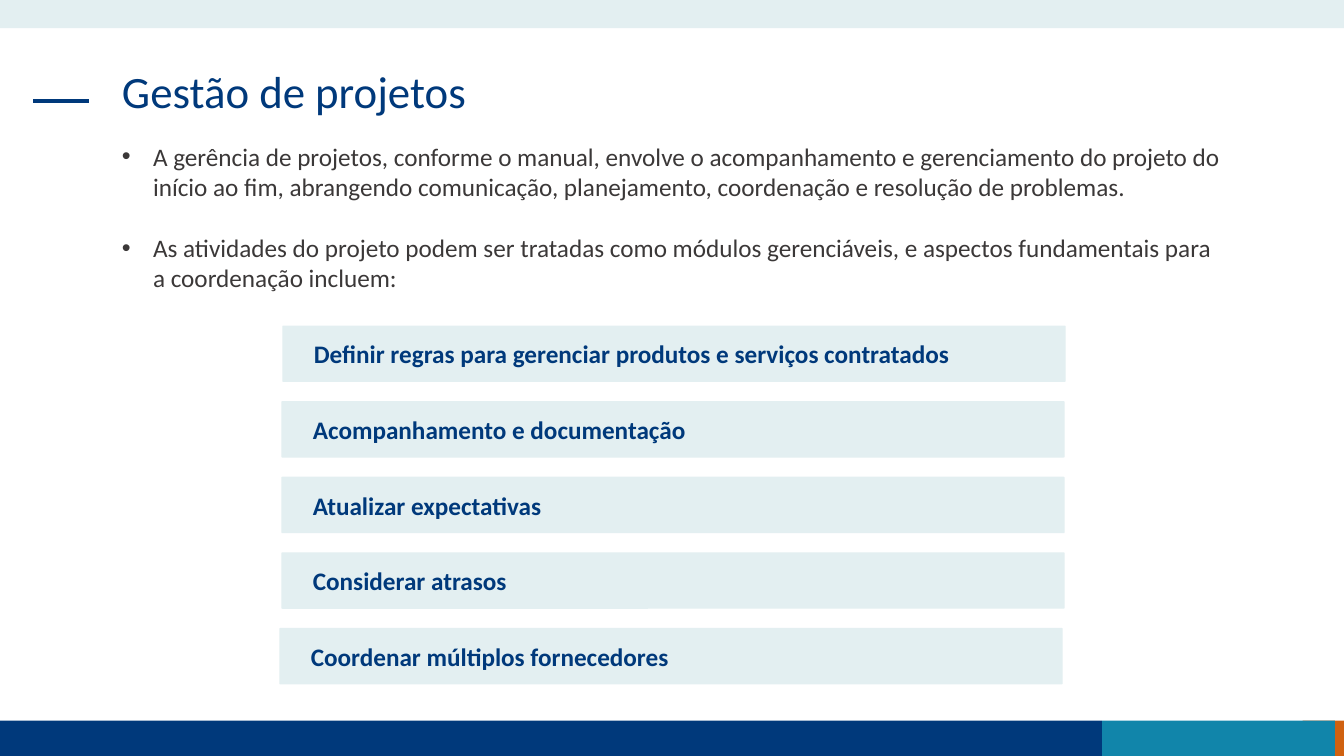
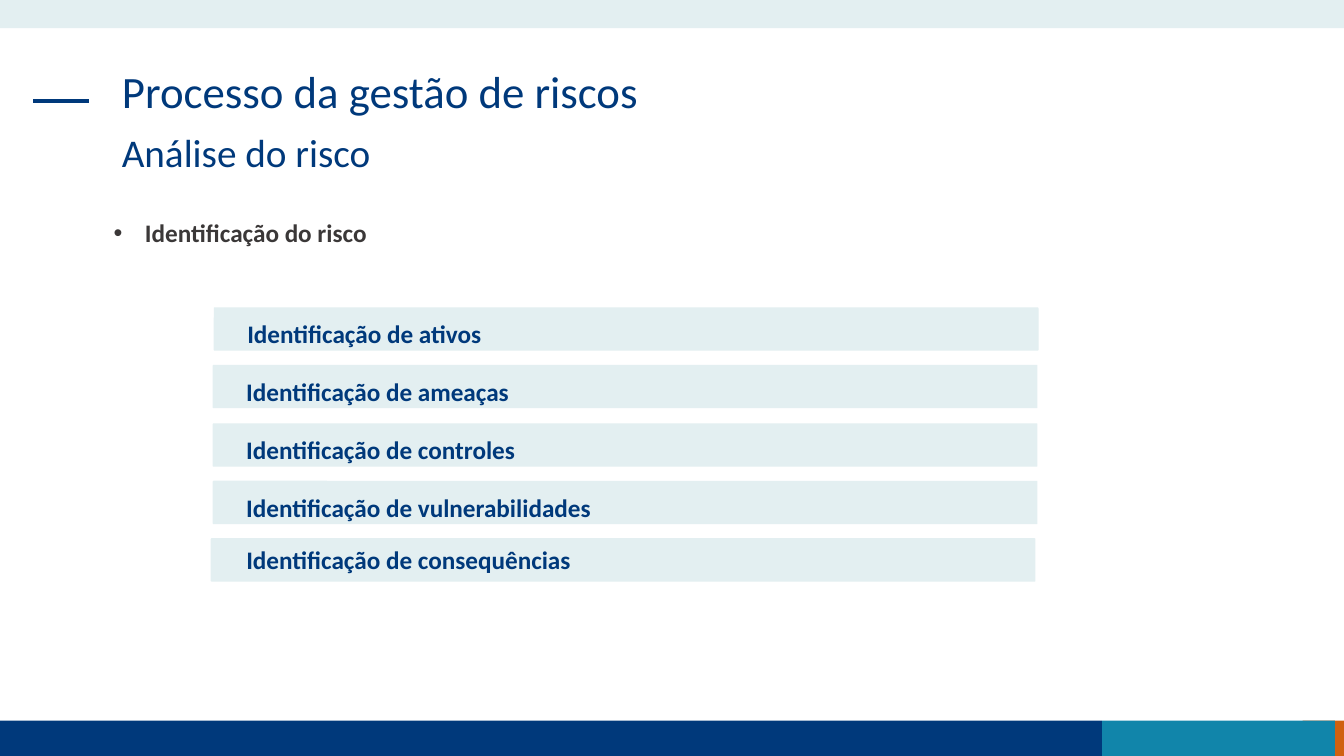
"""Build two slides on project and risk management."""
from dataclasses import dataclass
from typing import Any

from lxml.etree import SubElement
from pptx import Presentation
from pptx.dml.color import RGBColor
from pptx.enum.shapes import MSO_CONNECTOR, MSO_SHAPE
from pptx.enum.text import MSO_ANCHOR, MSO_AUTO_SIZE, PP_ALIGN
from pptx.oxml.ns import qn
from pptx.util import Pt

SCALE = 9144
WIDE, HIGH = 1333, 750


@dataclass(frozen=True)
class Theme:
    """Colours, face and type sizes of the deck."""

    navy: str = "00397B"
    teal: str = "1185AA"
    rust: str = "D06110"
    pale: str = "E3EFF1"
    ink: str = "3B3838"
    face: str = "Calibri"
    head: int = 32
    sub: int = 28
    text: int = 18


THEME = Theme()


@dataclass(frozen=True)
class Box:
    """A place on the slide in px."""

    left: int
    top: int
    width: int
    height: int


@dataclass(frozen=True)
class Band:
    """A filled strip of the page frame."""

    box: Box
    fill: str


@dataclass(frozen=True)
class Stack:
    """A column of labelled bars; the last one has its own text inset."""

    first: Box
    pitch: float
    pad: int
    dip: int
    last: tuple[int, int]
    labels: tuple[str, ...]


FRAME = (
    Band(Box(1292, 715, 41, 35), THEME.rust),
    Band(Box(0, 715, 1093, 35), THEME.navy),
    Band(Box(1093, 715, 231, 35), THEME.teal),
    Band(Box(0, 0, WIDE, 28), THEME.pale),
)
NUDGE = (1, 0, 0, 0, -2)
INDENT = 31

RULES = Stack(
    Box(279, 323, 777, 56), 75, 31, 0, (31, 0),
    (
        "Definir regras para gerenciar produtos e serviços contratados",
        "Acompanhamento e documentação",
        "Atualizar expectativas",
        "Considerar atrasos",
        "Coordenar múltiplos fornecedores",
    ),
)
RISKS = Stack(
    Box(211, 305, 818, 43), 57.3, 33, 9, (35, 0),
    (
        "Identificação de ativos",
        "Identificação de ameaças",
        "Identificação de controles",
        "Identificação de vulnerabilidades",
        "Identificação de consequências",
    ),
)
SCOPE = (
    "A gerência de projetos, conforme o manual, envolve o acompanhamento e "
    "gerenciamento do projeto do início ao fim, abrangendo comunicação, "
    "planejamento, coordenação e resolução de problemas.",
    "As atividades do projeto podem ser tratadas como módulos gerenciáveis, "
    "e aspectos fundamentais para a coordenação incluem:",
)


def px(size: float) -> int:
    """Turn px into EMU."""
    return round(size * SCALE)


def apply(item: Any, **values: Any) -> None:
    """Set each named value on an object."""
    for name, value in values.items():
        setattr(item, name, value)


def place(box: Box) -> tuple[int, int, int, int]:
    """Give the EMU place of a box."""
    return px(box.left), px(box.top), px(box.width), px(box.height)


def write(para: Any, text: str, size: int, tint: str, bold: bool = False) -> None:
    """Put one styled run in a paragraph."""
    para.alignment = PP_ALIGN.LEFT
    run = para.add_run()
    run.text = text
    apply(run.font, name=THEME.face, size=Pt(size), bold=bold)
    run.font.color.rgb = RGBColor.from_string(tint)


def block(slide: Any, box: Box, shape: Any, fill: str) -> Any:
    """Draw a flat filled shape."""
    item = slide.shapes.add_shape(shape, *place(box))
    item.shadow.inherit = False
    item.fill.solid()
    item.fill.fore_color.rgb = RGBColor.from_string(fill)
    item.line.fill.background()
    return item


def frame(slide: Any) -> None:
    """Draw the bands and the title dash."""
    for band in FRAME:
        block(slide, band.box, MSO_SHAPE.RECTANGLE, band.fill)
    dash = slide.shapes.add_connector(
        MSO_CONNECTOR.STRAIGHT, px(33), px(100), px(88), px(100))
    dash.line.color.rgb = RGBColor.from_string(THEME.navy)
    dash.line.width = Pt(3)
    SubElement(dash.element.spPr, qn("a:effectLst"))


def title(slide: Any, text: str) -> None:
    """Move and style the title placeholder."""
    item = slide.shapes.title
    left, top, width, height = place(Box(111, 64, 1110, 94))
    apply(item, left=left, top=top, width=width, height=height)
    apply(item.text_frame, word_wrap=True, auto_size=MSO_AUTO_SIZE.NONE,
          vertical_anchor=MSO_ANCHOR.TOP)
    para = item.text_frame.paragraphs[0]
    para.line_spacing = 0.9
    write(para, text, THEME.head, THEME.navy)


def area(slide: Any, box: Box) -> Any:
    """Add a wrapping text box and give its text frame."""
    body = slide.shapes.add_textbox(*place(box)).text_frame
    body.word_wrap = True
    return body


def points(slide: Any, box: Box, lines: tuple[str, ...], bold: bool = False) -> None:
    """Write a bullet list with one line of space between items."""
    body = area(slide, box)
    for rank, line in enumerate(lines):
        para = body.add_paragraph() if rank else body.paragraphs[0]
        props = para._p.get_or_add_pPr()
        props.set("marL", str(px(INDENT)))
        props.set("indent", str(-px(INDENT)))
        SubElement(props, qn("a:buFont")).set("typeface", "Arial")
        SubElement(props, qn("a:buChar")).set("char", "•")
        if rank:
            para.space_before = Pt(22)
        write(para, line, THEME.text, THEME.ink, bold)


def bars(slide: Any, stack: Stack) -> None:
    """Draw a stack of labelled bars at an even pitch."""
    base = stack.first
    final = len(stack.labels) - 1
    for rank, (label, shift) in enumerate(zip(stack.labels, NUDGE)):
        pad, dip = stack.last if rank == final else (stack.pad, stack.dip)
        box = Box(base.left + shift, round(base.top + rank * stack.pitch),
                  base.width, base.height)
        item = block(slide, box, MSO_SHAPE.ROUNDED_RECTANGLE, THEME.pale)
        item.adjustments[0] = 0.02
        apply(item.text_frame, word_wrap=True, margin_left=px(pad),
              margin_top=px(dip), margin_bottom=0,
              vertical_anchor=MSO_ANCHOR.MIDDLE)
        write(item.text_frame.paragraphs[0], label, THEME.text, THEME.navy, True)


def start(deck: Any, text: str) -> Any:
    """Add a slide with the shared frame and a title."""
    slide = deck.slides.add_slide(deck.slide_layouts[5])
    frame(slide)
    title(slide, text)
    return slide


def project(deck: Any) -> None:
    """Build the project slide."""
    slide = start(deck, "Gestão de projetos")
    points(slide, Box(111, 135, 1110, 162), SCOPE)
    bars(slide, RULES)


def risk(deck: Any) -> None:
    """Build the risk slide."""
    slide = start(deck, "Processo da gestão de riscos")
    para = area(slide, Box(111, 128, 1056, 59)).paragraphs[0]
    para.line_spacing = 0.9
    write(para, "Análise do risco", THEME.sub, THEME.navy)
    points(slide, Box(103, 211, 1110, 40), ("Identificação do risco",), True)
    bars(slide, RISKS)


def main() -> None:
    """Build and save the deck."""
    deck = Presentation()
    apply(deck, slide_width=px(WIDE), slide_height=px(HIGH))
    project(deck)
    risk(deck)
    deck.save("out.pptx")


if __name__ == "__main__":
    main()
